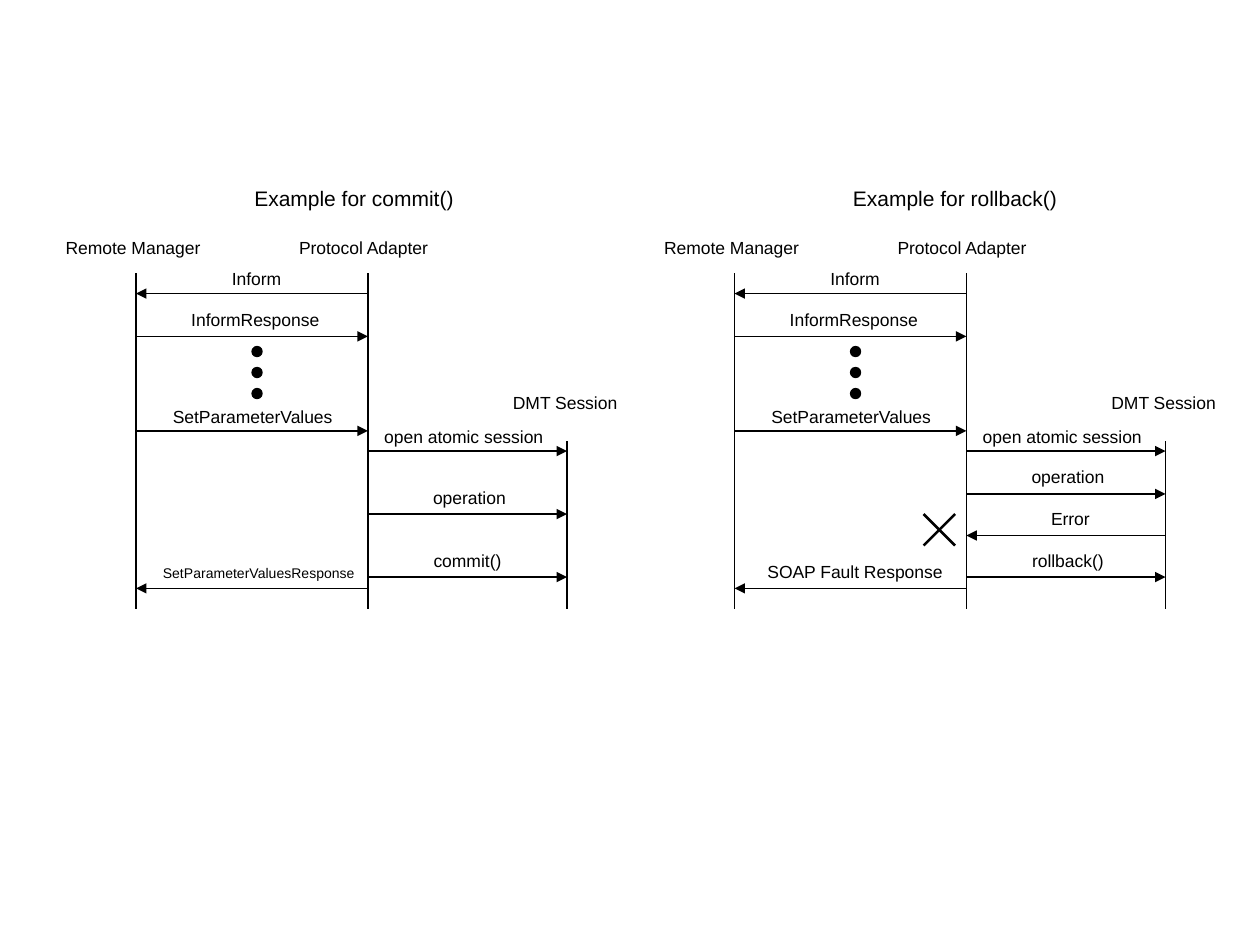
"""Build a slide with two sequence diagrams: a commit and a rollback exchange."""
from lxml.etree import SubElement
from pptx import Presentation
from pptx.dml.color import RGBColor
from pptx.enum.shapes import MSO_CONNECTOR, MSO_SHAPE
from pptx.enum.text import MSO_AUTO_SIZE, PP_ALIGN
from pptx.oxml.ns import qn
from pptx.util import Inches, Pt

BLACK = RGBColor(0, 0, 0)
FONT = "Arial"
SIDE_INSET = 0.05
PANEL_STEP = 4.75
LIFELINE_END = 4.83
DOT_SIZE, DOT_LEFT, DOT_TOP, DOT_STEP = 0.08, 2.0, 2.75, 1 / 6

# Lifeline: x and top; label: left, top, width.
LIFELINES = {
    "Remote Manager": (1.08, 2.17, (0.42, 1.83, 1.27)),
    "Protocol Adapter": (2.92, 2.17, (2.27, 1.83, 1.23)),
    "DMT Session": (4.5, 3.5, (3.97, 3.06, 1.03)),
}
MANAGER, ADAPTER, SESSION = (x for x, _, _ in LIFELINES.values())

# Message: text, sender, receiver, y, label box, font size.
SHARED_MESSAGES = [
    ("Inform", ADAPTER, MANAGER, 2.33, (1.74, 2.08, 0.59), 10),
    ("InformResponse", MANAGER, ADAPTER, 2.67, (1.42, 2.4, 1.21), 10),
    ("SetParameterValues", MANAGER, ADAPTER, 3.42, (1.27, 3.17, 1.47), 10),
    ("open atomic session", ADAPTER, SESSION, 3.58, (2.95, 3.33, 1.46), 10),
]
PANELS = [
    ("Example for commit()", (1.92, 1.42, 1.78), [
        ("operation", ADAPTER, SESSION, 4.08, (3.34, 3.82, 0.77), 10),
        ("commit()", ADAPTER, SESSION, 4.58, (3.34, 4.32, 0.74), 10),
        ("SetParameterValuesResponse", ADAPTER, MANAGER, 4.67,
         (1.19, 4.43, 1.73), 8),
    ]),
    ("Example for rollback()", (1.92, 1.42, 1.82), [
        ("operation", ADAPTER, SESSION, 3.92, (3.34, 3.65, 0.77), 10),
        ("Error", SESSION, ADAPTER, 4.25, (3.49, 3.98, 0.51), 10),
        ("rollback()", ADAPTER, SESSION, 4.58, (3.34, 4.32, 0.77), 10),
        ("SOAP Fault Response", ADAPTER, MANAGER, 4.67, (1.24, 4.4, 1.59), 10),
    ]),
]
CROSS_LEFT, CROSS_RIGHT, CROSS_TOP, CROSS_BOTTOM = 7.33, 7.58, 4.08, 4.33


def add_text(slide, text, *, box, shift=0, size=10):
    left, top, width = box
    height = 0.1 + size * 0.017
    label = slide.shapes.add_textbox(
        Inches(left + shift), Inches(top), Inches(width), Inches(height))
    frame = label.text_frame
    frame.word_wrap = False
    frame.auto_size = MSO_AUTO_SIZE.SHAPE_TO_FIT_TEXT
    frame.margin_left = frame.margin_right = Inches(SIDE_INSET)
    paragraph = frame.paragraphs[0]
    paragraph.alignment = PP_ALIGN.CENTER
    run = paragraph.add_run()
    run.text = text
    run.font.name = FONT
    run.font.size = Pt(size)
    run.font.color.rgb = BLACK


def add_line(shapes, start, end, *, weight=0.75, arrow=False):
    line = shapes.add_connector(
        MSO_CONNECTOR.STRAIGHT, *(Inches(v) for v in (*start, *end)))
    line.line.color.rgb = BLACK
    line.line.width = Pt(weight)
    properties = line._element.spPr
    if arrow:
        SubElement(properties.find(qn("a:ln")), qn("a:tailEnd"), type="triangle")
    SubElement(properties, qn("a:effectLst"))


def add_dot(slide, left, top):
    dot = slide.shapes.add_shape(
        MSO_SHAPE.OVAL, Inches(left), Inches(top),
        Inches(DOT_SIZE), Inches(DOT_SIZE))
    dot.shadow.inherit = False
    dot.fill.solid()
    dot.fill.fore_color.rgb = BLACK
    dot.line.color.rgb = BLACK
    dot.line.width = Pt(0.75)


def add_panel(slide, heading, heading_box, messages, shift):
    add_text(slide, heading, box=heading_box, shift=shift, size=12)
    for role, (x, top, box) in LIFELINES.items():
        add_line(slide.shapes, (x + shift, top), (x + shift, LIFELINE_END))
        add_text(slide, role, box=box, shift=shift)
    for text, sender, receiver, y, box, size in SHARED_MESSAGES + messages:
        add_line(slide.shapes, (sender + shift, y), (receiver + shift, y),
                 arrow=True)
        add_text(slide, text, box=box, shift=shift, size=size)
    for index in range(3):
        add_dot(slide, DOT_LEFT + shift, DOT_TOP + index * DOT_STEP)


def main():
    deck = Presentation()
    deck.slide_width, deck.slide_height = Inches(10), Inches(7.5)
    slide = deck.slides.add_slide(deck.slide_layouts[6])
    for index, (heading, heading_box, messages) in enumerate(PANELS):
        add_panel(slide, heading, heading_box, messages, index * PANEL_STEP)
    cross = slide.shapes.add_group_shape()
    for start, end in ((CROSS_TOP, CROSS_BOTTOM), (CROSS_BOTTOM, CROSS_TOP)):
        add_line(cross.shapes, (CROSS_LEFT, start), (CROSS_RIGHT, end),
                 weight=1.5)
    deck.save("out.pptx")


if __name__ == "__main__":
    main()
